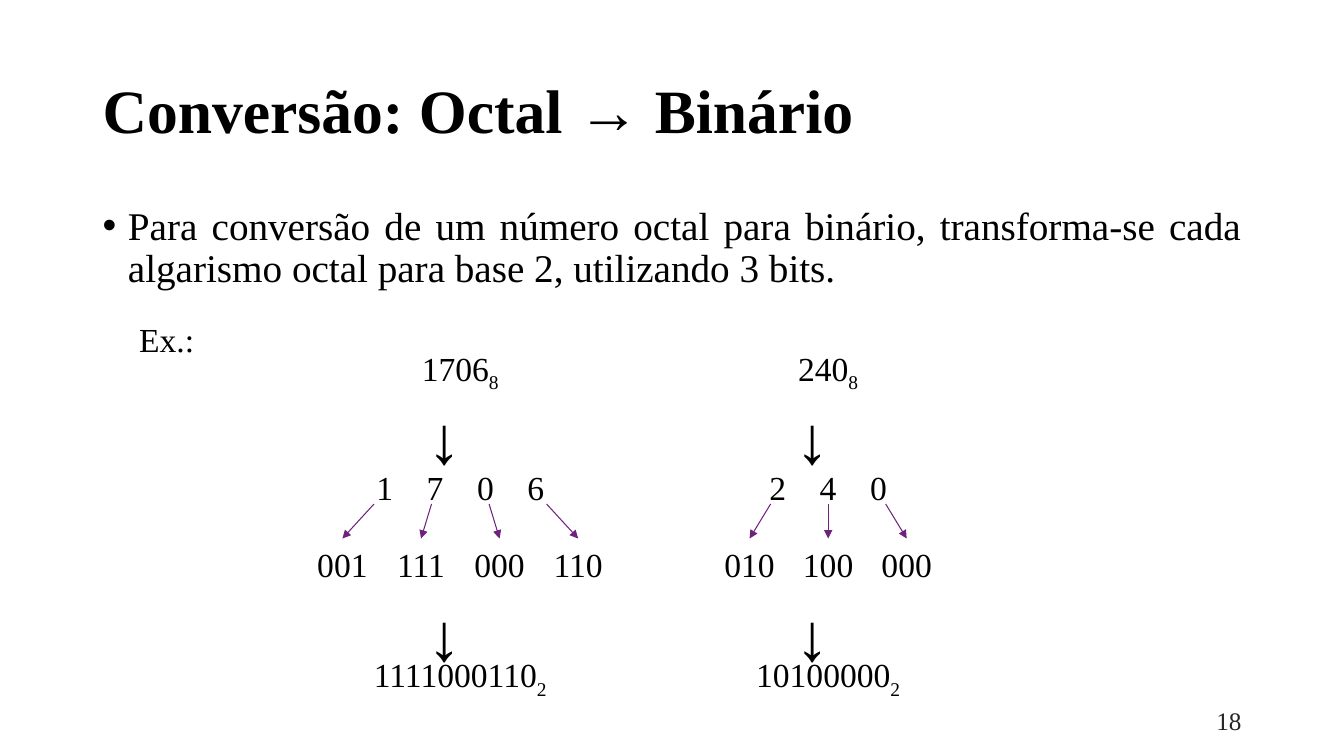
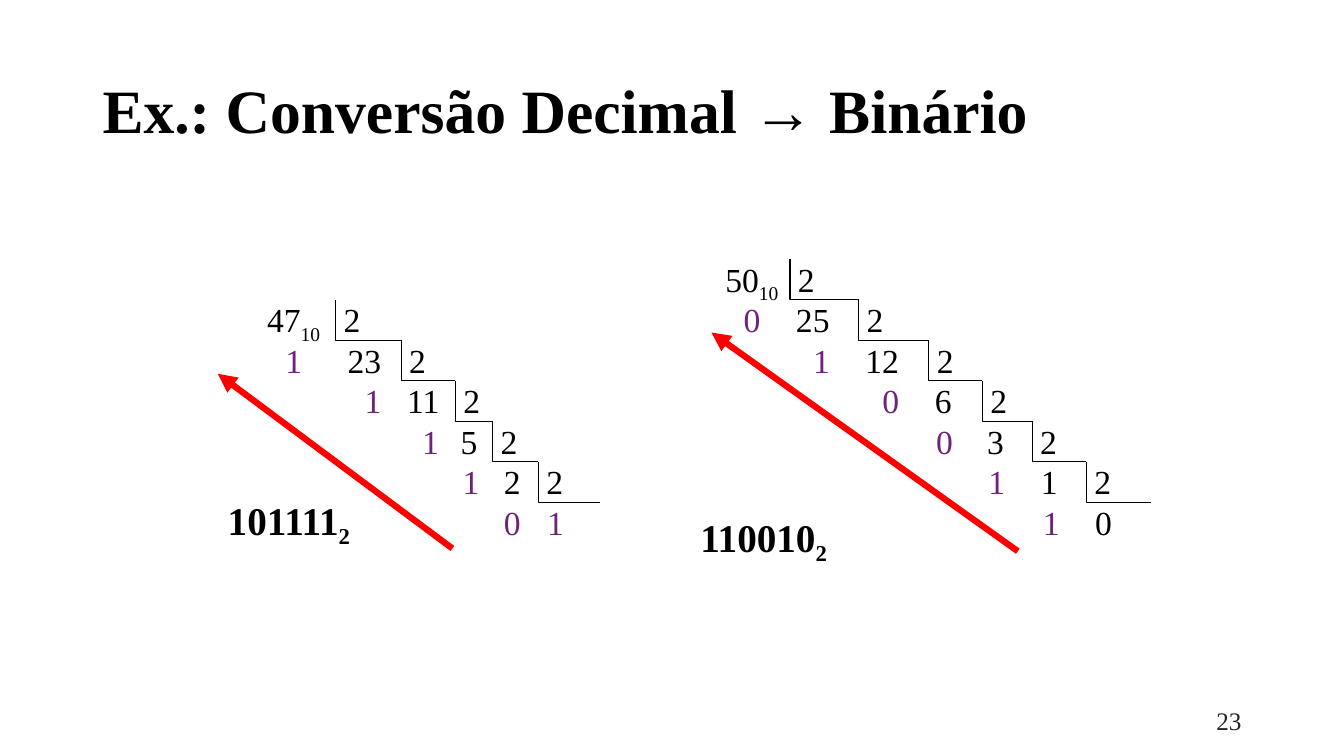
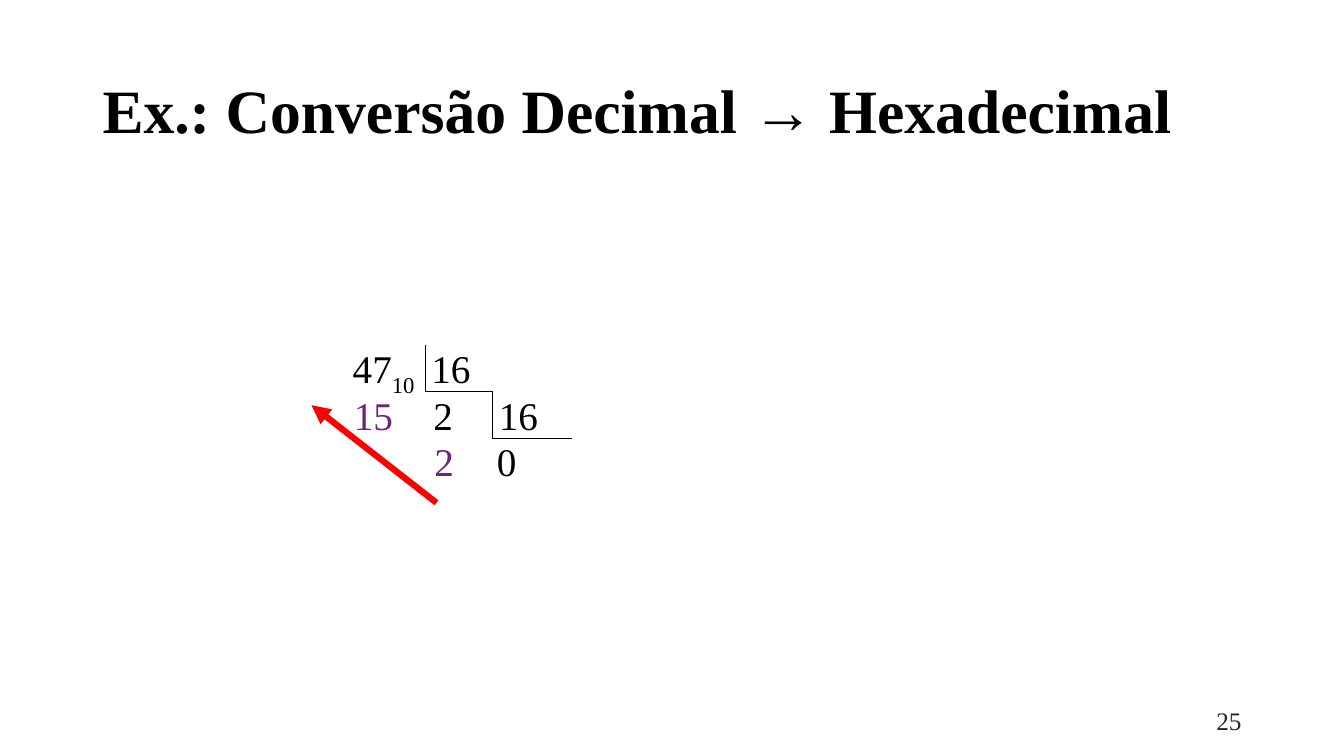
import lxml.etree
import pptx
import pptx.dml.color
import pptx.enum.shapes
import pptx.enum.text
import pptx.oxml.ns
import pptx.util

Cm = pptx.util.Cm
Pt = pptx.util.Pt
ALIGN = pptx.enum.text.PP_ALIGN
ANCHOR = pptx.enum.text.MSO_ANCHOR
AUTO_SIZE = pptx.enum.text.MSO_AUTO_SIZE
CONNECTOR = pptx.enum.shapes.MSO_CONNECTOR
qn = pptx.oxml.ns.qn

FONT = "Times New Roman"
BLACK, PURPLE, RED, GREY = "000000", "6F227C", "FF0000", "262626"
TITLE_BOX = (2.33, 1.02, 29.21, 3.68)
BODY_BOX = (2.33, 5.08, 29.21, 12.57)
NUMBER_BOX = (23.92, 17.65, 7.62)
TITLE_ONLY, TITLE_AND_BODY = 5, 1


def rgb(color):
    return pptx.dml.color.RGBColor.from_string(color)


def add_element(parent, tag, **attributes):
    return lxml.etree.SubElement(parent, qn(tag), attributes)


def add_run(paragraph, text, size, color=BLACK, bold=False, subscript=False):
    run = paragraph.add_run()
    run.text = text
    run.font.name = FONT
    run.font.size = Pt(size)
    run.font.bold = bold
    run.font.color.rgb = rgb(color)
    if subscript:
        run.font._element.set("baseline", "-25000")


def add_text(slide, left, top, width, text, size=24, color=BLACK, bold=False,
             align=ALIGN.LEFT, base="", wrap=True, height=None):
    """Place one line of text, with an optional number base as subscript."""
    shape = slide.shapes.add_textbox(
        Cm(left), Cm(top), Cm(width), Cm(height or size * 0.053))
    shape.text_frame.word_wrap = wrap
    shape.text_frame.auto_size = AUTO_SIZE.SHAPE_TO_FIT_TEXT
    paragraph = shape.text_frame.paragraphs[0]
    paragraph.alignment = align
    add_run(paragraph, text, size, color, bold)
    if base:
        add_run(paragraph, base, size, color, bold, subscript=True)
    return shape


def add_centred(slide, centre, top, width, text, base=""):
    add_text(slide, centre - width / 2, top, width, text,
             align=ALIGN.CENTER, base=base)


def add_line(slide, start, end, color, width, arrow=False,
             kind=CONNECTOR.STRAIGHT):
    connector = slide.shapes.add_connector(
        kind, Cm(start[0]), Cm(start[1]), Cm(end[0]), Cm(end[1]))
    connector.line.color.rgb = rgb(color)
    connector.line.width = Pt(width)
    properties = connector._element.spPr
    if arrow:
        add_element(properties.find(qn("a:ln")), "a:tailEnd", type="triangle")
    add_element(properties, "a:effectLst")
    return connector


def add_bracket(slide, start, end):
    """Draw a division bracket: straight down, then right."""
    connector = add_line(slide, start, end, BLACK, 0.75, kind=CONNECTOR.ELBOW)
    geometry = connector._element.spPr.find(qn("a:prstGeom"))
    add_element(geometry.find(qn("a:avLst")), "a:gd",
                name="adj1", fmla="val 0")


def fill_placeholder(shape, box, text, size, bold, align, anchor):
    shape.left, shape.top, shape.width, shape.height = map(Cm, box)
    frame = shape.text_frame
    frame.vertical_anchor = anchor
    frame.word_wrap = True
    frame.auto_size = AUTO_SIZE.NONE
    paragraph = frame.paragraphs[0]
    paragraph.alignment = align
    paragraph.line_spacing = 0.9
    add_run(paragraph, text, size, bold=bold)
    return paragraph


def add_slide(presentation, layout, title, number):
    """Start a slide with the shared title and page number."""
    slide = presentation.slides.add_slide(presentation.slide_layouts[layout])
    fill_placeholder(slide.shapes.title, TITLE_BOX, title, 44, True,
                     ALIGN.LEFT, ANCHOR.MIDDLE)
    left, top, width = NUMBER_BOX
    page = add_text(slide, left, top, width, number, size=18, color=GREY,
                    align=ALIGN.RIGHT, height=1.02)
    page.text_frame.auto_size = AUTO_SIZE.NONE
    page.text_frame.vertical_anchor = ANCHOR.MIDDLE
    return slide


def add_bullet(slide, text):
    paragraph = fill_placeholder(slide.placeholders[1], BODY_BOX, text, 28,
                                 False, ALIGN.JUSTIFY, ANCHOR.TOP)
    paragraph.space_before = Pt(10)
    properties = paragraph._element.get_or_add_pPr()
    properties.set("marL", str(int(Cm(0.64))))
    properties.set("indent", str(-int(Cm(0.64))))


def add_octal_conversion(slide, centre, top, octal):
    """Show an octal number, its digits, their 3 bits and the result."""
    add_centred(slide, centre, top, 3.91, octal, base="8")
    for arrow_top in (top + 0.99, top + 5.94):
        arrow = add_text(slide, centre - 0.64, arrow_top, 1.27, "→", size=48,
                         align=ALIGN.CENTER, height=2.31)
        arrow.rotation = 90

    # Digits, arrows and bits spread evenly around the centre
    for index, digit in enumerate(octal):
        step = index - (len(octal) - 1) / 2
        bits_centre = centre + 1.98 * step
        add_centred(slide, centre + 1.27 * step, top + 3, 1.27, digit)
        add_line(slide, (centre + 1.45 * step, top + 4.06),
                 (bits_centre, top + 4.93), PURPLE, 0.75, arrow=True)
        add_centred(slide, bits_centre, top + 4.93, 2.44,
                    format(int(digit), "03b"))
    add_centred(slide, centre, top + 7.72, 7.77,
                format(int(octal, 8), "b"), base="2")


def add_division(slide, left, top, number, divisor, brackets, remainders,
                 quotients, row=1.02, size=24, inset=0.05):
    """Draw successive divisions; column positions are relative to left.

    brackets holds one more position than there are divisions: the last
    one is where the final bracket ends.
    """
    def cell(column, line, text, color=BLACK, base=""):
        add_text(slide, left + column, top + line * row, 2.46, text,
                 size=size, color=color, base=base)

    cell(0, 0, str(number), base="10")
    steps = len(quotients)
    for line in range(steps):
        number, remainder = divmod(number, divisor)
        start, end = brackets[line:line + 2]
        bracket_top = top + line * row + 0.14
        cell(start - inset, line, str(divisor))
        add_bracket(slide, (left + start, bracket_top),
                    (left + end, bracket_top + row))
        cell(remainders[line], line + 1, str(remainder), PURPLE)
        # A final quotient other than zero is the leading digit
        leading = line == steps - 1 and number > 0
        cell(quotients[line], line + 1, str(number),
             PURPLE if leading else BLACK)


def add_reading_arrow(slide, start, end):
    add_line(slide, start, end, RED, 4.5, arrow=True)


def add_binary_result(slide, left, top, number):
    add_text(slide, left, top, 3.7, format(number, "b"), size=28, bold=True,
             base="2", wrap=False)


def build_octal_slide(presentation):
    slide = add_slide(presentation, TITLE_AND_BODY,
                      "Conversão: Octal → Binário", "18")
    add_bullet(slide, "Para conversão de um número octal para binário, "
                      "transforma-se cada algarismo octal para base 2, "
                      "utilizando 3 bits.")
    add_centred(slide, 4.2, 7.9, 2.31, "Ex.:")
    for centre, octal in ((11.6, "1706"), (20.87, "240")):
        add_octal_conversion(slide, centre, 8.64, octal)


def build_binary_slide(presentation):
    slide = add_slide(presentation, TITLE_ONLY,
                      "Ex.: Conversão Decimal → Binário", "23")
    # Left: 47
    add_division(slide, 6.48, 7.42, 47, 2,
                 brackets=(1.98, 3.63, 5, 5.94, 7.09, 8.64),
                 remainders=(0.46, 2.46, 3.91, 4.93, 5.97),
                 quotients=(2.03, 3.53, 4.88, 5.97, 7.06))
    add_reading_arrow(slide, (11.4, 13.82), (5.49, 9.42))
    add_binary_result(slide, 5.49, 12.37, 47)
    # Right: 50
    add_division(slide, 18.03, 6.4, 50, 2,
                 brackets=(1.88, 3.61, 5.38, 6.73, 7.98, 9.35, 10.97),
                 remainders=(0.46, 2.21, 3.96, 5.31, 6.63, 8),
                 quotients=(1.78, 3.53, 5.28, 6.6, 7.95, 9.32))
    add_reading_arrow(slide, (25.65, 13.89), (17.93, 8.38))
    add_binary_result(slide, 17.4, 12.8, 50)


def build_hexadecimal_slide(presentation):
    slide = add_slide(presentation, TITLE_ONLY,
                      "Ex.: Conversão Decimal → Hexadecimal", "25")
    add_division(slide, 8.64, 8.56, 47, 16, brackets=(2.08, 3.78, 5.77),
                 remainders=(0.03, 2.06), quotients=(2.03, 3.63),
                 row=1.17, size=28, inset=0.1)
    add_reading_arrow(slide, (11, 12.67), (7.85, 10.21))


def main():
    presentation = pptx.Presentation()
    presentation.slide_width = Cm(33.87)
    presentation.slide_height = Cm(19.05)
    build_octal_slide(presentation)
    build_binary_slide(presentation)
    build_hexadecimal_slide(presentation)
    presentation.save("out.pptx")


if __name__ == "__main__":
    main()
